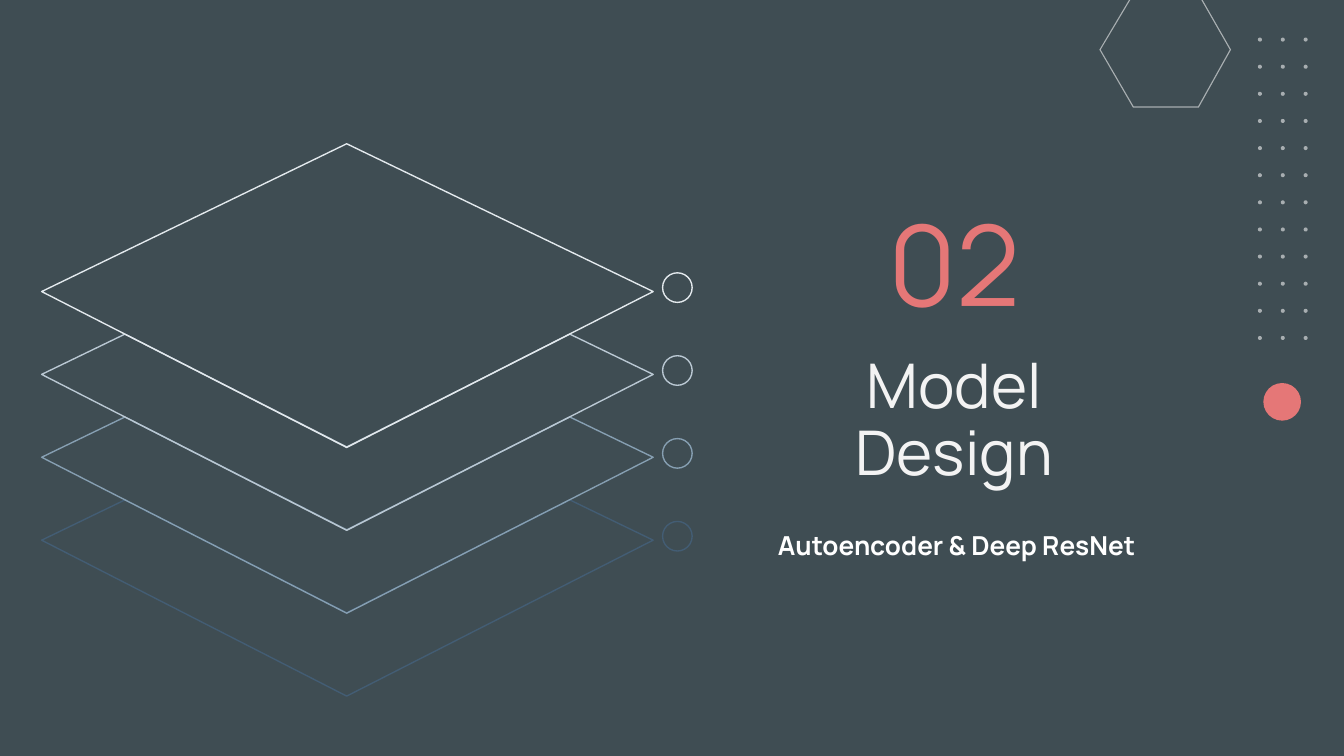
"""Build a section slide with stacked layers, a heading and dot ornaments."""
from lxml import etree
from pptx import Presentation
from pptx.dml.color import RGBColor
from pptx.enum.shapes import MSO_SHAPE
from pptx.enum.text import MSO_ANCHOR, PP_ALIGN
from pptx.oxml.ns import qn
from pptx.util import Inches, Pt

OVAL = MSO_SHAPE.OVAL
TOP, MIDDLE = MSO_ANCHOR.TOP, MSO_ANCHOR.MIDDLE
LEFT, CENTER = PP_ALIGN.LEFT, PP_ALIGN.CENTER

FONT = "Manrope"
BACK, CORAL, WHITE = "3F4D53", "E57777", "FFFFFF"
WIDE, HIGH = 10, 10 * 9 / 16
TEXTS = [
    ("Model Design", (5.57, 2.02, 3.06, 2.24), 0.3, 33, "F3F3F3", False, CENTER, MIDDLE, 0.9),
    ("Autoencoder & Deep ResNet", (5.69, 3.84, 3.47, 0.45), 0.1, 14, WHITE, True, LEFT, TOP, 1),
    ("02", (6.16, 1.56, 1.88, 0.77), 0.1, 60, CORAL, False, CENTER, MIDDLE, 1),
]
HEXAGON = [(8.43, -0.05), (8.18, 0.37), (8.43, 0.8), (8.92, 0.8), (9.16, 0.37), (8.92, -0.05)]
MID_X, MID_Y, INNER = 8.67, 0.37, 0.98
LAYERS = ["E3E9ED", "BAC8D3", "869FB2", "435D74"]
DIAMOND = [(2.58, 1.07), (0.31, 2.17), (2.58, 3.33), (4.86, 2.17)]
CHEVRON = [(0.93, 1.87), (0.31, 2.17), (2.58, 3.33), (4.86, 2.17), (4.24, 1.87), (2.58, 2.71)]
STEP = 1.85 / 3
COLS, ROWS = 3, 12
DOT, GAP_X, GAP_Y = 0.03, 0.34 / 2, 2.22 / 11


def color(code):
    return RGBColor.from_string(code)


def paint(shape, fill=None, line=None, alpha=None):
    shape.shadow.inherit = False
    if fill:
        shape.fill.solid()
        shape.fill.fore_color.rgb = color(fill)
    else:
        shape.fill.background()
    if line:
        shape.line.color.rgb = color(line)
        shape.line.width = Pt(0.75)
    else:
        shape.line.fill.background()
    if alpha:
        tint = shape._element.spPr.find(qn("a:solidFill"))[0]
        etree.SubElement(tint, qn("a:alpha")).set("val", str(alpha * 1000))


def circle(shapes, x, y, size, **style):
    paint(shapes.add_shape(OVAL, *map(Inches, (x, y, size, size))), **style)


def outline(shapes, loops, **style):
    loops = [[(Inches(x), Inches(y)) for x, y in loop] for loop in loops]
    pen = shapes.build_freeform(*loops[0][0])
    for i, loop in enumerate(loops):
        if i:
            pen.move_to(*loop[0])
        pen.add_line_segments(loop[1:], close=True)
    paint(pen.convert_to_shape(), **style)


def write(shapes, text, box, inset, size, code, bold, align, anchor, space):
    frame = shapes.add_textbox(*map(Inches, box)).text_frame
    frame.word_wrap = True
    frame.vertical_anchor = anchor
    frame.margin_left = frame.margin_right = Inches(inset)
    frame.margin_top = frame.margin_bottom = Inches(0.1)
    para = frame.paragraphs[0]
    para.alignment = align
    para.line_spacing = space
    run = para.add_run()
    run.text = text
    run.font.name = FONT
    run.font.size = Pt(size)
    run.font.bold = bold
    run.font.color.rgb = color(code)


def main():
    deck = Presentation()
    deck.slide_width, deck.slide_height = Inches(WIDE), Inches(HIGH)
    slide = deck.slides.add_slide(deck.slide_layouts[6])
    slide.background.fill.solid()
    slide.background.fill.fore_color.rgb = color(BACK)
    shapes = slide.shapes

    for item in TEXTS:
        write(shapes, *item)
    hole = [(MID_X + (x - MID_X) * INNER, MID_Y + (y - MID_Y) * INNER) for x, y in HEXAGON]
    outline(shapes, [HEXAGON, hole[::-1]], fill=WHITE, alpha=55)
    circle(shapes, 9.4, 2.85, 0.28, fill=CORAL)

    dots = shapes.add_group_shape().shapes
    for col in range(COLS):
        for row in range(ROWS):
            circle(dots, 9.36 + col * GAP_X, 0.28 + row * GAP_Y, DOT, fill=WHITE, alpha=55)

    stack = shapes.add_group_shape().shapes
    for i, code in reversed(list(enumerate(LAYERS))):
        drop = i * STEP
        points = CHEVRON if i else DIAMOND
        outline(stack, [[(x, y + drop) for x, y in points]], line=code)
        circle(stack, 4.93, 2.03 + drop, 0.22, line=code)

    deck.save("out.pptx")


if __name__ == "__main__":
    main()
